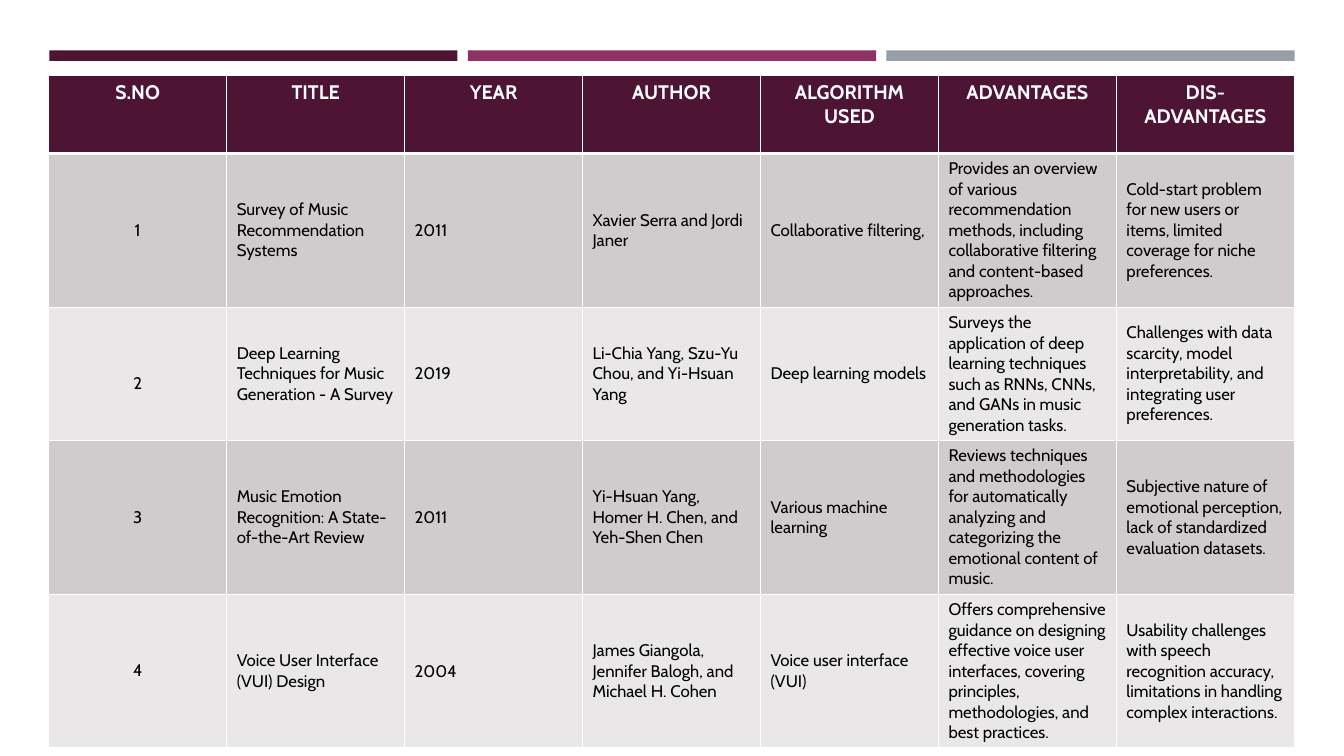
from typing import NamedTuple

from lxml import etree
from pptx import Presentation
from pptx.dml.color import RGBColor
from pptx.enum.shapes import MSO_SHAPE
from pptx.enum.text import MSO_ANCHOR, PP_ALIGN
from pptx.oxml.ns import qn
from pptx.util import Pt

RECT = MSO_SHAPE.RECTANGLE
TOP, MIDDLE = MSO_ANCHOR.TOP, MSO_ANCHOR.MIDDLE
LEFT, CENTER = PP_ALIGN.LEFT, PP_ALIGN.CENTER

FONT = "Cabin"
PLUM, MAGENTA, GREY = "4D1434", "903163", "969FA7"
BANDS = ("D0CCCE", "E9E7E8")
WHITE, BLACK = "FFFFFF", "000000"

BAR_LEFT, BAR_TOP, BAR_WIDTH, BAR_HEIGHT, BAR_STEP = 35.2, 36, 291.6, 7.6, 299
TABLE_LEFT, TABLE_TOP, COL_WIDTH = 34.8, 54.2, 127.13
CELL_TOP, NUMBER_TOP = 3.6, 47.5
HEADER_HEIGHT = 55.4


class Paper(NamedTuple):
    height: float
    title: str
    year: str
    author: str
    algorithm: str
    advantages: str
    disadvantages: str


HEADERS = ("S.NO", "TITLE", "YEAR", "AUTHOR", "ALGORITHM USED", "ADVANTAGES", "DIS-ADVANTAGES")
PAPERS = (
    Paper(109.7, "Survey of Music Recommendation Systems", "2011",
          "Xavier Serra and Jordi Janer", "Collaborative filtering,",
          "Provides an overview of various recommendation methods, including "
          "collaborative filtering and content-based approaches.",
          "Cold-start problem for new users or items, limited coverage for niche preferences."),
    Paper(95, "Deep Learning Techniques for Music Generation - A Survey", "2019",
          "Li-Chia Yang, Szu-Yu Chou, and Yi-Hsuan Yang", "Deep learning models",
          "Surveys the application of deep learning techniques such as RNNs, CNNs, "
          "and GANs in music generation tasks.",
          "Challenges with data scarcity, model interpretability, and integrating "
          "user preferences."),
    Paper(95, "Music Emotion Recognition: A State-of-the-Art Review", "2011",
          "Yi-Hsuan Yang, Homer H. Chen, and Yeh-Shen Chen", "Various machine learning",
          "Reviews techniques and methodologies for automatically analyzing and "
          "categorizing the emotional content of music.",
          "Subjective nature of emotional perception, lack of standardized "
          "evaluation datasets."),
    Paper(109.7, "Voice User Interface (VUI) Design", "2004",
          "James Giangola, Jennifer Balogh, and Michael H. Cohen",
          "Voice user interface (VUI)",
          "Offers comprehensive guidance on designing effective voice user interfaces, "
          "covering principles, methodologies, and best practices.",
          "Usability challenges with speech recognition accuracy, limitations in "
          "handling complex interactions."),
)


def rgb(color: str) -> RGBColor:
    return RGBColor.from_string(color)


def add_bar(s, index: int, color: str) -> None:
    sp = s.shapes.add_shape(RECT, Pt(BAR_LEFT + index * BAR_STEP), Pt(BAR_TOP),
                            Pt(BAR_WIDTH), Pt(BAR_HEIGHT))
    sp.shadow.inherit = False
    sp.fill.solid()
    sp.fill.fore_color.rgb = rgb(color)
    sp.line.fill.background()


def set_borders(cell, top: float = 1, bottom: float = 1) -> None:
    tc_pr = cell._tc.get_or_add_tcPr()
    for side, width in (("L", 1), ("R", 1), ("T", top), ("B", bottom)):
        ln = etree.SubElement(tc_pr, qn(f"a:ln{side}"), w=str(Pt(width)))
        fill = etree.SubElement(ln, qn("a:solidFill"))
        etree.SubElement(fill, qn("a:srgbClr"), val=WHITE)


def write_cell(cell, text: str, *, fill: str, color: str = BLACK, size: float = 12,
               bold: bool = False, align=LEFT, anchor=MIDDLE,
               margin_top: float = CELL_TOP) -> None:
    cell.fill.solid()
    cell.fill.fore_color.rgb = rgb(fill)
    cell.vertical_anchor = anchor
    cell.margin_top = Pt(margin_top)
    p = cell.text_frame.paragraphs[0]
    p.alignment = align
    r = p.add_run()
    r.text = text
    r.font.name, r.font.size, r.font.bold = FONT, Pt(size), bold
    r.font.color.rgb = rgb(color)


def add_survey_table(s) -> None:
    heights = [HEADER_HEIGHT] + [paper.height for paper in PAPERS]
    table = s.shapes.add_table(len(heights), len(HEADERS), Pt(TABLE_LEFT), Pt(TABLE_TOP),
                               Pt(COL_WIDTH * len(HEADERS)), Pt(sum(heights))).table
    for column in table.columns:
        column.width = Pt(COL_WIDTH)
    for row, height in zip(table.rows, heights):
        row.height = Pt(height)

    # Header row
    for col, text in enumerate(HEADERS):
        cell = table.cell(0, col)
        set_borders(cell, bottom=3)
        write_cell(cell, text, fill=PLUM, color=WHITE, size=14, bold=True,
                   align=CENTER, anchor=TOP)

    # Numbered papers in alternating bands
    for number, paper in enumerate(PAPERS, 1):
        band = BANDS[(number - 1) % 2]
        for col, text in enumerate((str(number), *paper[1:])):
            cell = table.cell(number, col)
            set_borders(cell, top=3 if number == 1 else 1)
            if col == 0:
                write_cell(cell, text, fill=band, align=CENTER, anchor=TOP,
                           margin_top=NUMBER_TOP)
            else:
                write_cell(cell, text, fill=band)


def main() -> None:
    prs = Presentation()
    prs.slide_width, prs.slide_height = Pt(960), Pt(540)
    s = prs.slides.add_slide(prs.slide_layouts[6])

    # Accent bars
    for index, color in enumerate((PLUM, MAGENTA, GREY)):
        add_bar(s, index, color)

    add_survey_table(s)
    prs.save("out.pptx")


if __name__ == "__main__":
    main()
